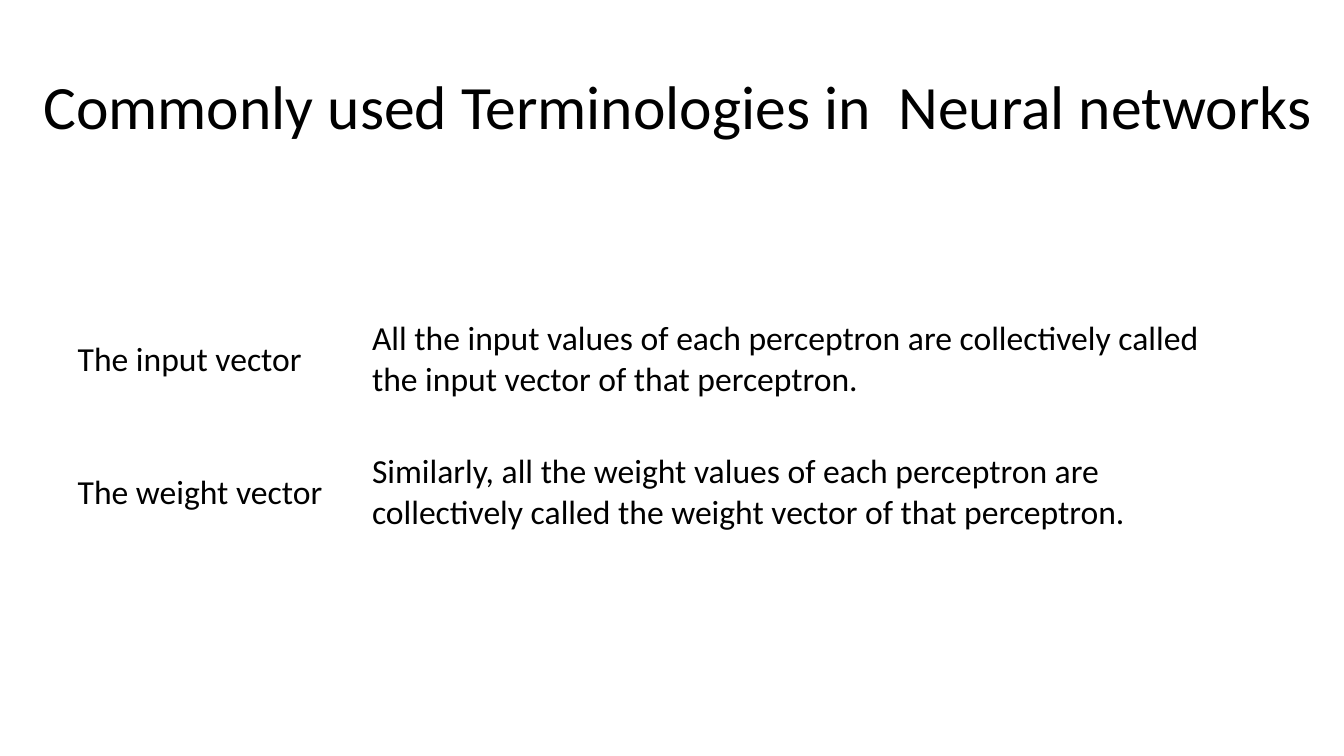
import pptx
import pptx.util
import pptx.dml.color
import pptx.enum.text
from pptx.util import Inches

COLORS = {"text": "000000", "background": "FFFFFF"}
FONT = "Calibri"
TITLE = "Commonly used Terminologies in  Neural networks"
TERMS = [
    ("The input vector",
     "All the input values of each perceptron are collectively called "
     "the input vector of that perceptron."),
    ("The weight vector",
     "Similarly, all the weight values of each perceptron are "
     "collectively called the weight vector of that perceptron."),
]
COLUMN_WIDTHS = (2.92, 8.75)
ROW_HEIGHT = 1.32


def color(name):
    return pptx.dml.color.RGBColor.from_string(COLORS[name])


def write(text_frame, text, size):
    """Set left-aligned text in the slide's font."""
    text_frame.text = text
    text_frame.word_wrap = True
    paragraph = text_frame.paragraphs[0]
    paragraph.alignment = pptx.enum.text.PP_ALIGN.LEFT
    font = paragraph.runs[0].font
    font.name = FONT
    font.size = pptx.util.Pt(size)
    font.bold = False
    font.color.rgb = color("text")
    return paragraph


def add_title(slide):
    title = slide.shapes.title
    title.left, title.top = Inches(0.33), Inches(0.42)
    title.width, title.height = Inches(12.89), Inches(1.33)
    title.text_frame.vertical_anchor = pptx.enum.text.MSO_ANCHOR.MIDDLE
    write(title.text_frame, TITLE, 44).line_spacing = 0.9
    title.text_frame.auto_size = pptx.enum.text.MSO_AUTO_SIZE.NONE


def add_glossary(slide):
    glossary = slide.shapes.add_table(
        len(TERMS), len(COLUMN_WIDTHS), Inches(0.67), Inches(2.91),
        Inches(sum(COLUMN_WIDTHS)), Inches(ROW_HEIGHT * len(TERMS))).table
    glossary.first_row = False
    glossary.horz_banding = False
    for column, width in zip(glossary.columns, COLUMN_WIDTHS):
        column.width = Inches(width)
    for row, entry in zip(glossary.rows, TERMS):
        row.height = Inches(ROW_HEIGHT)
        for cell, text in zip(row.cells, entry):
            cell.fill.solid()
            cell.fill.fore_color.rgb = color("background")
            cell.vertical_anchor = pptx.enum.text.MSO_ANCHOR.MIDDLE
            cell.margin_left = cell.margin_right = Inches(0.1)
            cell.margin_top = cell.margin_bottom = Inches(0.04)
            write(cell.text_frame, text, 24)


def main():
    presentation = pptx.Presentation()
    presentation.slide_width = Inches(13.33)
    presentation.slide_height = Inches(7.5)
    title_only = presentation.slide_layouts.get_by_name("Title Only")
    slide = presentation.slides.add_slide(title_only)

    # Background
    slide.background.fill.solid()
    slide.background.fill.fore_color.rgb = color("background")

    # Heading and definitions
    add_title(slide)
    add_glossary(slide)
    presentation.save("out.pptx")


if __name__ == "__main__":
    main()
